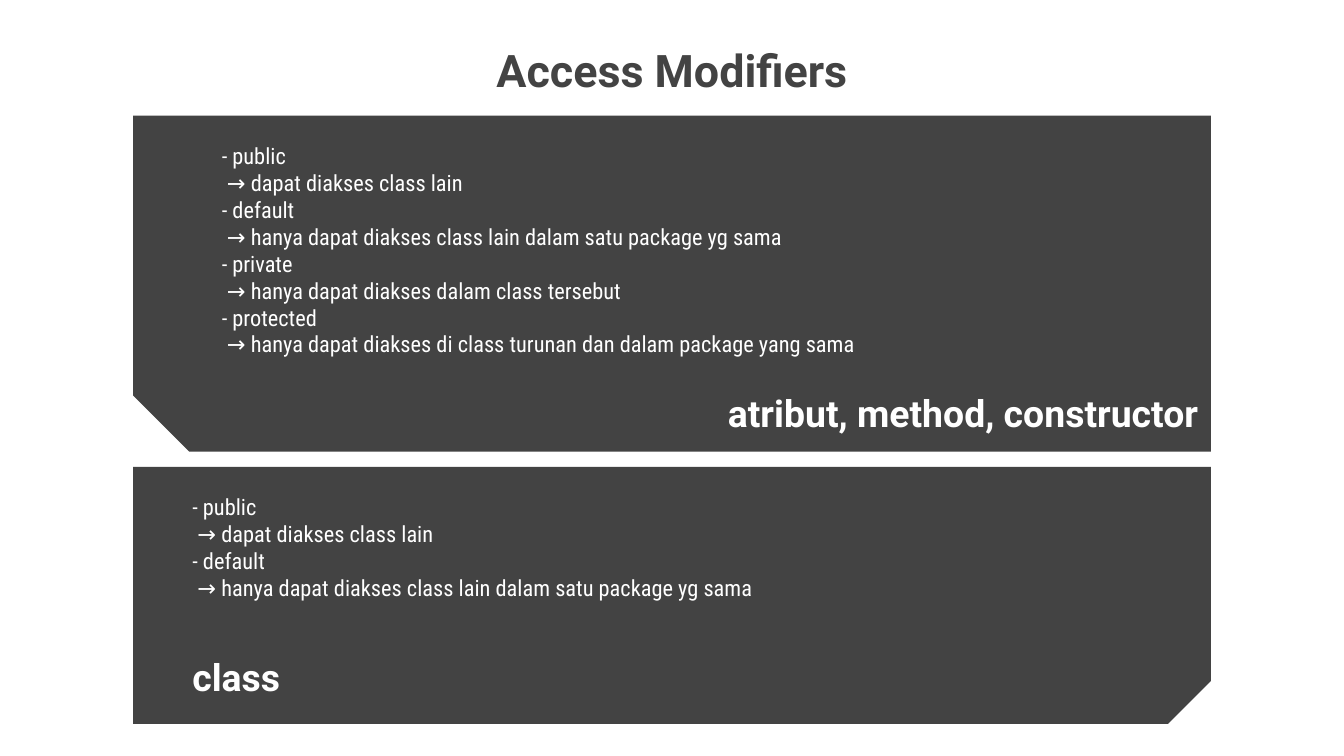
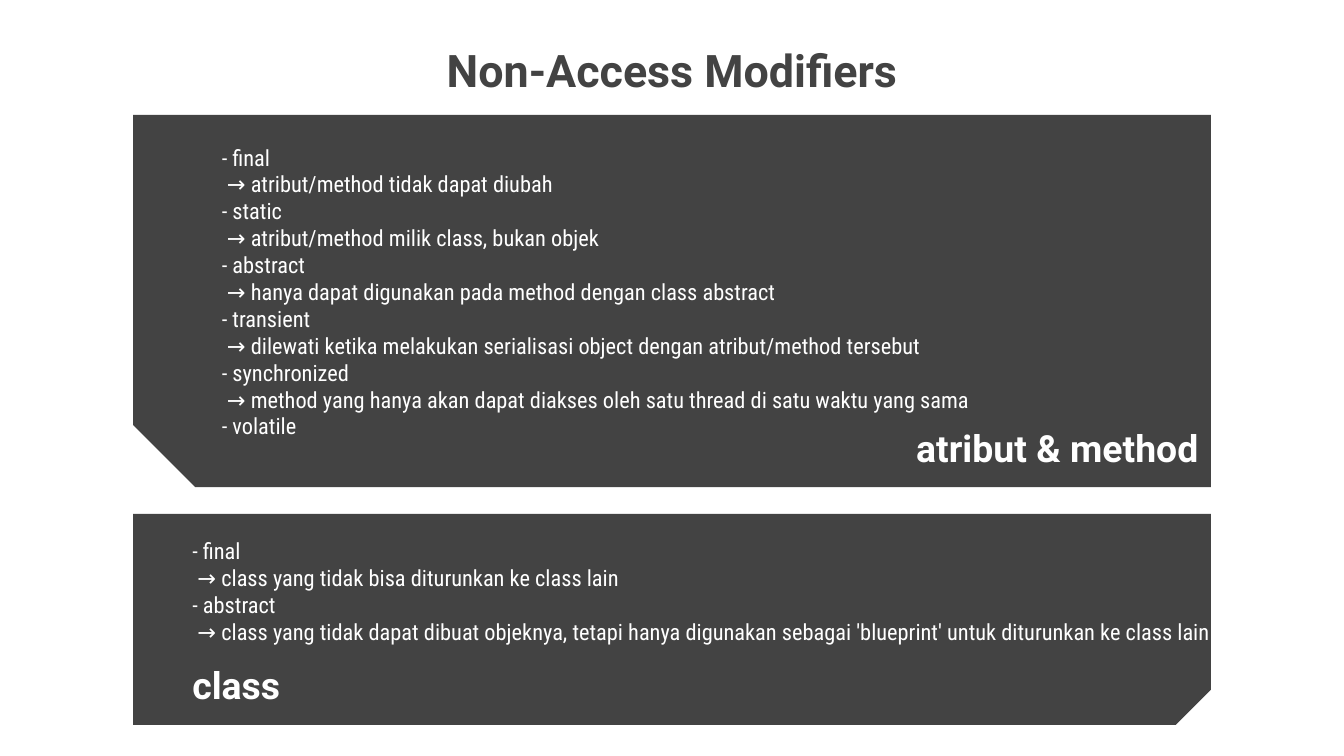
from lxml import etree
from pptx import Presentation
from pptx.dml.color import RGBColor
from pptx.enum.shapes import MSO_SHAPE
from pptx.enum.text import MSO_ANCHOR, MSO_AUTO_SIZE, PP_ALIGN
from pptx.oxml.ns import qn
from pptx.util import Pt

SNIP = MSO_SHAPE.SNIP_1_RECTANGLE
TOP, BOTTOM = MSO_ANCHOR.TOP, MSO_ANCHOR.BOTTOM
LEFT, CENTER, RIGHT = PP_ALIGN.LEFT, PP_ALIGN.CENTER, PP_ALIGN.RIGHT
NO_FIT = MSO_AUTO_SIZE.NONE

DARK, WHITE = "434343", "FFFFFF"
COMPARISON = 4  # layout: title, then a heading and a list for each half
INSET = 7.2
PANEL_LEFT, PANEL_WIDTH = 71.3, 577.4

# Text formats
TITLE = {"name": "Roboto", "size": Pt(24), "bold": True}
HEADING = {"name": "Roboto", "size": Pt(20), "bold": True}
LIST = {"name": "Roboto Condensed", "size": Pt(12), "bold": False}


def rgb(color):
    return RGBColor.from_string(color)


class Deck:
    def __init__(self, prs):
        self.prs = prs
        self.s = None

    def new_slide(self):
        self.s = self.prs.slides.add_slide(self.prs.slide_layouts[COMPARISON])

    def text(self, idx, box, lines, font, color=WHITE, align=LEFT, anchor=TOP):
        sp = self.s.placeholders[idx]
        for name, value in zip(("left", "top", "width", "height"), box):
            setattr(sp, name, Pt(value))
        tf = sp.text_frame
        frame = {"word_wrap": True, "auto_size": NO_FIT, "vertical_anchor": anchor}
        for side in ("left", "top", "right", "bottom"):
            frame["margin_" + side] = Pt(INSET)
        for name, value in frame.items():
            setattr(tf, name, value)
        for i, line in enumerate(lines):
            p = tf.add_paragraph() if i else tf.paragraphs[0]
            p.alignment, p.line_spacing = align, 1.0
            p.space_before = p.space_after = Pt(0)
            pPr = p._p.get_or_add_pPr()
            pPr.set("marL", "0")
            pPr.set("indent", "0")
            etree.SubElement(pPr, qn("a:buNone"))
            r = p.add_run()
            r.text = line
            for name, value in font.items():
                setattr(r.font, name, value)
            r.font.color.rgb = rgb(color)

    def title(self, text):
        self.text(0, (154.8, 15.8, 410.4, 74.2), [text], TITLE, DARK, CENTER)

    def heading(self, idx, box, text, align):
        self.text(idx, box, [text], HEADING, align=align, anchor=BOTTOM)

    def modifiers(self, idx, box, items):
        lines = []
        for name, meaning in items:
            lines.append(f"- {name}")
            if meaning:
                lines.append(f" → {meaning}")
        self.text(idx, box, lines, LIST)

    def panel(self, top, height, snip_left):
        # The shape stands upright and is turned about its centre
        left = PANEL_LEFT + (PANEL_WIDTH - height) / 2
        turned_top = top + (height - PANEL_WIDTH) / 2
        sp = self.s.shapes.add_shape(SNIP, Pt(left), Pt(turned_top),
                                     Pt(height), Pt(PANEL_WIDTH))
        sp.rotation = 270 if snip_left else 90
        if snip_left:
            sp._element.spPr.find(qn("a:xfrm")).set("flipH", "1")
        sp.shadow.inherit = False
        sp.fill.solid()
        sp.fill.fore_color.rgb = rgb(DARK)
        sp.line.fill.background()
        # Send behind the text placeholders
        self.s.shapes._spTree.insert(2, sp._element)


SLIDES = [
    {
        "title": "Access Modifiers",
        "panels": [(62, 180), (250.2, 137.6)],
        "headings": ["atribut, method, constructor", "class"],
        "heading_spans": [(201.6, 38.9), (352, 29.5)],
        "list_boxes": [(111.6, 69.1, 473.8, 113.8), (95.8, 257, 523.4, 82.8)],
        "lists": [
            [("public", "dapat diakses class lain"),
             ("default", "hanya dapat diakses class lain dalam satu package yg sama"),
             ("private", "hanya dapat diakses dalam class tersebut"),
             ("protected", "hanya dapat diakses di class turunan dan dalam package yang sama")],
            [("public", "dapat diakses class lain"),
             ("default", "hanya dapat diakses class lain dalam satu package yg sama")],
        ],
    },
    {
        "title": "Non-Access Modifiers",
        "panels": [(61.6, 199.4), (275.4, 113)],
        "headings": ["atribut & method", "class"],
        "heading_spans": [(216, 43.2), (349.2, 36.7)],
        "list_boxes": [(111.6, 69.8, 473.8, 166.3), (95.8, 280.8, 571, 68.4)],
        "lists": [
            [("final", "atribut/method tidak dapat diubah"),
             ("static", "atribut/method milik class, bukan objek"),
             ("abstract", "hanya dapat digunakan pada method dengan class abstract"),
             ("transient", "dilewati ketika melakukan serialisasi object dengan atribut/method tersebut"),
             ("synchronized", "method yang hanya akan dapat diakses oleh satu thread di satu waktu yang sama"),
             ("volatile", "")],
            [("final", "class yang tidak bisa diturunkan ke class lain"),
             ("abstract", "class yang tidak dapat dibuat objeknya, tetapi hanya digunakan "
                          "sebagai 'blueprint' untuk diturunkan ke class lain")],
        ],
    },
]


def main():
    prs = Presentation()
    prs.slide_width, prs.slide_height = Pt(720), Pt(405)
    deck = Deck(prs)
    for data in SLIDES:
        deck.new_slide()
        deck.title(data["title"])
        # Upper half: members; lower half: class
        for half, (left, align) in enumerate([(126, RIGHT), (95.8, LEFT)]):
            deck.panel(*data["panels"][half], snip_left=half == 0)
            top, height = data["heading_spans"][half]
            deck.heading(1 + 2 * half, (left, top, 523.4, height),
                         data["headings"][half], align)
            deck.modifiers(2 + 2 * half, data["list_boxes"][half], data["lists"][half])
    prs.save("out.pptx")


if __name__ == "__main__":
    main()
